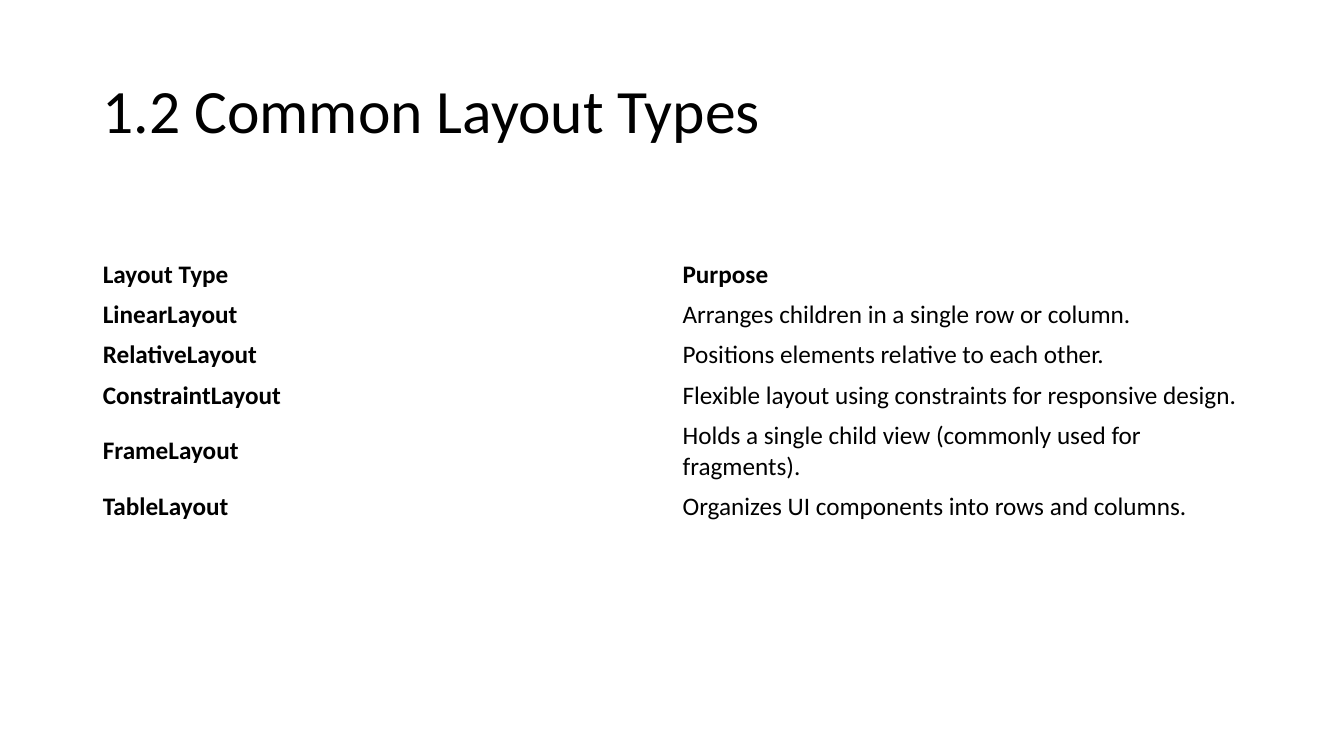
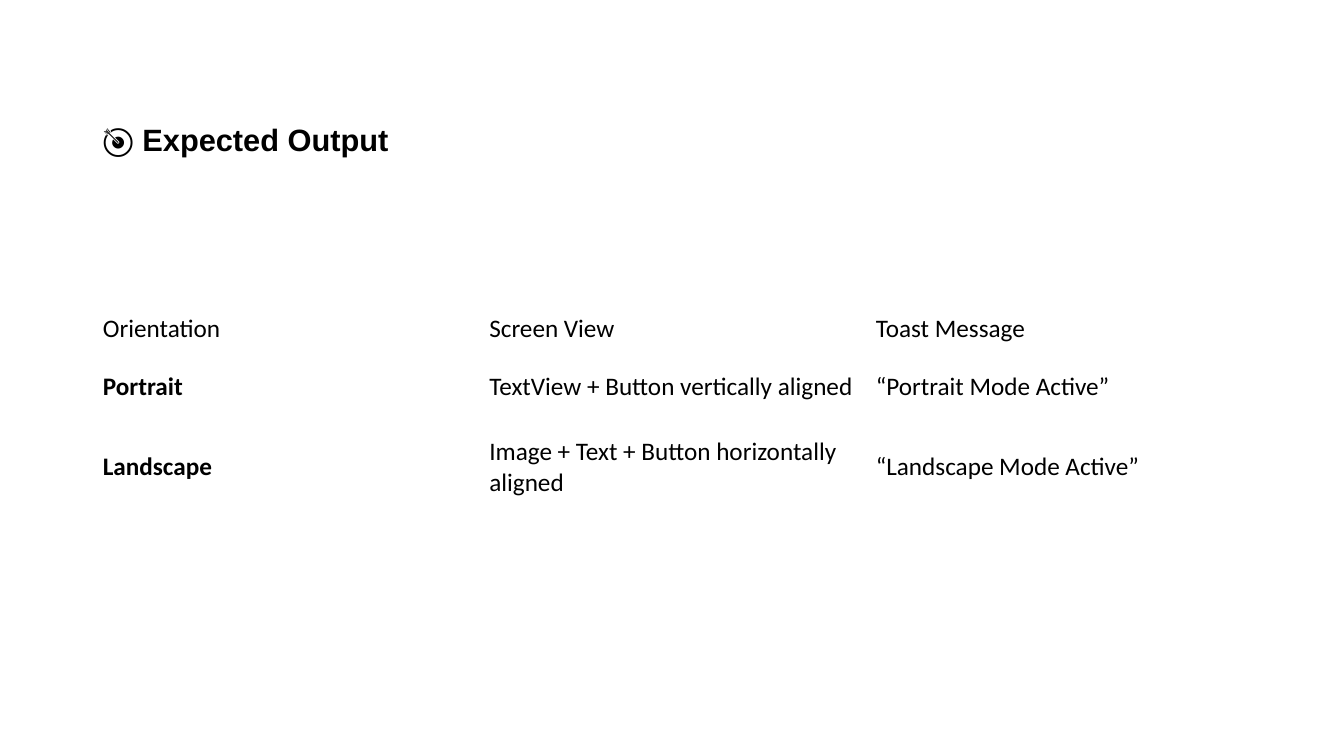
"""Build two slides on layout types and expected output."""
from dataclasses import dataclass

from pptx import Presentation
from pptx.dml.color import RGBColor
from pptx.enum.text import MSO_ANCHOR
from pptx.util import Inches, Pt

MIDDLE = MSO_ANCHOR.MIDDLE
BLANK_LAYOUT = 6


@dataclass(frozen=True)
class Theme:
    """Hold the colours, fonts, type sizes and margins of the deck."""
    ink: RGBColor = RGBColor(0, 0, 0)
    body_font: str = "Calibri"
    heading_font: str = "Arial"
    title_size: int = 44
    heading_size: int = 22
    body_size: int = 18
    left: float = 0.92
    width: float = 11.5


THEME = Theme()

LAYOUT_TYPES = [
    ("Layout Type", "Purpose"),
    ("LinearLayout", "Arranges children in a single row or column."),
    ("RelativeLayout", "Positions elements relative to each other."),
    ("ConstraintLayout", "Flexible layout using constraints for responsive design."),
    ("FrameLayout", "Holds a single child view (commonly used for fragments)."),
    ("TableLayout", "Organizes UI components into rows and columns."),
]
EXPECTED_OUTPUT = [
    ("Orientation", "Screen View", "Toast Message"),
    ("Portrait", "TextView + Button vertically aligned", "“Portrait Mode Active”"),
    ("Landscape", "Image + Text + Button horizontally aligned", "“Landscape Mode Active”"),
]


def write(frame, text, size=THEME.body_size, font=THEME.body_font, bold=False, spacing=None):
    """Write one formatted paragraph into a text frame."""
    frame.word_wrap = True
    para = frame.paragraphs[0]
    para.line_spacing = spacing
    span = para.add_run()
    span.text = text
    span.font.size = Pt(size)
    span.font.name = font
    span.font.bold = bold
    span.font.color.rgb = THEME.ink


def add_heading(page, text, top, height, **style):
    """Add a heading that is centred vertically in its box."""
    box = page.shapes.add_textbox(
        Inches(THEME.left), Inches(top), Inches(THEME.width), Inches(height))
    box.text_frame.vertical_anchor = MIDDLE
    write(box.text_frame, text, **style)


def add_plain_table(page, rows, top, heights, bold_header):
    """Add an unfilled table with equal columns and a bold first column."""
    table = page.shapes.add_table(
        len(rows), len(rows[0]), Inches(THEME.left), Inches(top),
        Inches(THEME.width), Inches(sum(heights))).table
    table.first_row = False
    table.horz_banding = False
    for row_index, (texts, height) in enumerate(zip(rows, heights)):
        table.rows[row_index].height = Inches(height)
        for column_index, text in enumerate(texts):
            cell = table.cell(row_index, column_index)
            cell.fill.background()
            cell.vertical_anchor = MIDDLE
            bold = bold_header if row_index == 0 else column_index == 0
            write(cell.text_frame, text, bold=bold)


def main():
    """Build and save the deck."""
    deck = Presentation()
    deck.slide_width, deck.slide_height = Inches(13.33), Inches(7.5)
    blank = deck.slide_layouts[BLANK_LAYOUT]

    page = deck.slides.add_slide(blank)
    add_heading(page, "1.2 Common Layout Types", 0.4, 1.45,
                size=THEME.title_size, spacing=0.9)
    add_plain_table(page, LAYOUT_TYPES, 2.52, [0.4] * 4 + [0.7, 0.4], bold_header=True)

    page = deck.slides.add_slide(blank)
    add_plain_table(page, EXPECTED_OUTPUT, 2.97, [0.58, 0.58, 1.01], bold_header=False)
    add_heading(page, "🎯 Expected Output", 1.13, 0.5,
                size=THEME.heading_size, font=THEME.heading_font, bold=True)

    deck.save("out.pptx")


if __name__ == "__main__":
    main()
